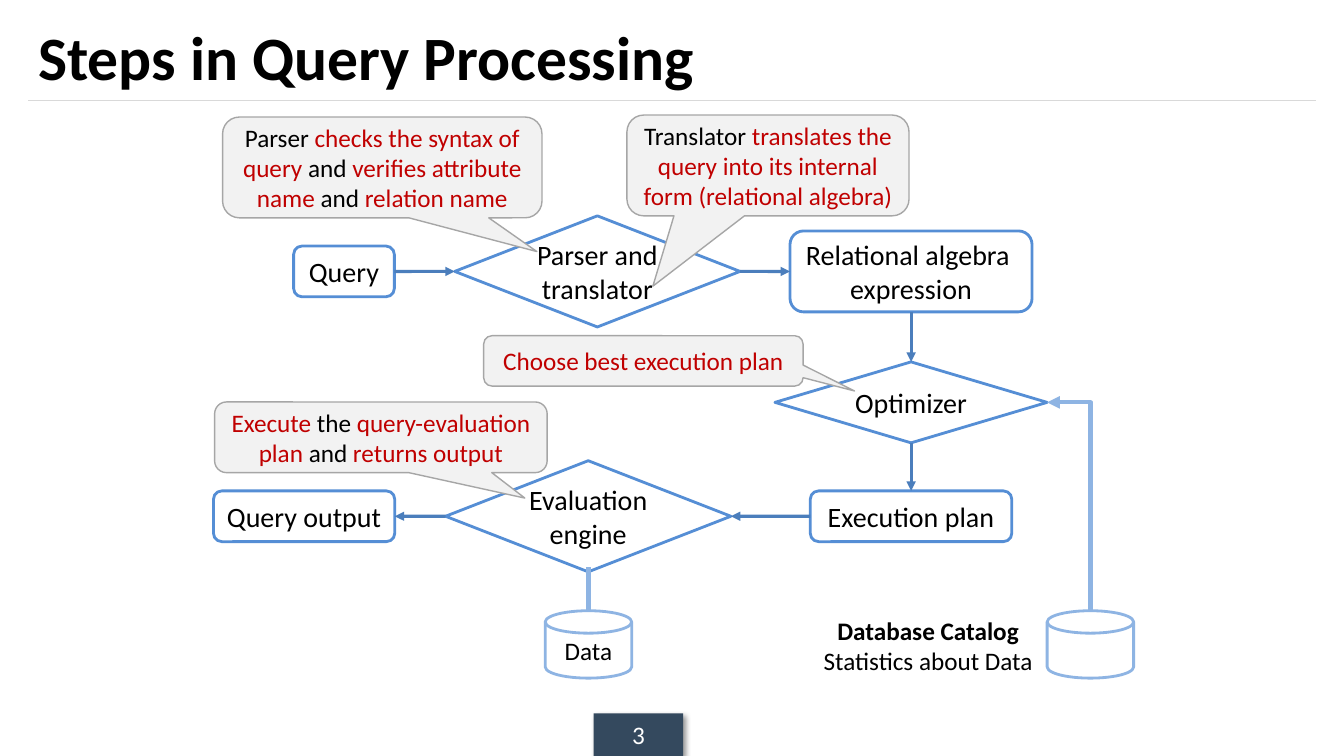
"""Draw the flow of query processing steps on one slide."""
from dataclasses import dataclass
from pptx import Presentation
from pptx.dml.color import RGBColor
from pptx.enum.shapes import MSO_CONNECTOR, MSO_SHAPE
from pptx.enum.text import MSO_ANCHOR, PP_ALIGN
from pptx.oxml import parse_xml
from pptx.oxml.ns import nsdecls, qn
from pptx.oxml.xmlchemy import OxmlElement
from pptx.util import Cm, Pt

RECT, ROUND = MSO_SHAPE.RECTANGLE, MSO_SHAPE.ROUNDED_RECTANGLE
STEP, DISK = MSO_SHAPE.FLOWCHART_DECISION, MSO_SHAPE.FLOWCHART_MAGNETIC_DISK
CALL = MSO_SHAPE.ROUNDED_RECTANGULAR_CALLOUT
LINE, ELBOW = MSO_CONNECTOR.STRAIGHT, MSO_CONNECTOR.ELBOW
LEFT, MID = PP_ALIGN.LEFT, PP_ALIGN.CENTER
NORTH, WEST, SOUTH, EAST = range(4)


@dataclass(frozen=True)
class Theme:
    font: str = "Calibri"
    ink: str = "000000"
    white: str = "FFFFFF"
    red: str = "C00000"
    edge: str = "558ED5"
    link: str = "4B7EBC"
    pale: str = "8EB4E3"
    rule: str = "D9D9D9"
    note: str = "F2F2F2"
    rim: str = "A6A6A6"
    navy: str = "34495E"
    head: int = 44
    node: int = 20
    small: int = 18


theme = Theme()


def write(shape, text, size=theme.small, inks=(theme.ink, theme.red),
          bold=(False, False), align=MID, anchor=MSO_ANCHOR.MIDDLE):
    frame = shape.text_frame
    frame.word_wrap = True
    frame.vertical_anchor = anchor
    for row, line in enumerate(text.split("\n")):
        para = frame.add_paragraph() if row else frame.paragraphs[0]
        para.alignment = align
        for turn, part in enumerate(line.split("|")):
            if part:
                run = para.add_run()
                run.text = part
                run.font.name = theme.font
                run.font.size = Pt(size)
                run.font.bold = bold[turn % 2]
                run.font.color.rgb = RGBColor.from_string(inks[turn % 2])


def draw(kind, box, fill=None, edge=None, width=2):
    shape = slide.shapes.add_shape(kind, *map(Cm, box))
    shape.shadow.inherit = False
    if fill:
        shape.fill.solid()
        shape.fill.fore_color.rgb = RGBColor.from_string(fill)
    else:
        shape.fill.background()
    if edge:
        shape.line.color.rgb = RGBColor.from_string(edge)
        shape.line.width = Pt(width)
    else:
        shape.line.fill.background()
    return shape


deck = Presentation()
deck.slide_width, deck.slide_height = Cm(33.87), Cm(19.05)
slide = deck.slides.add_slide(deck.slide_layouts[5])

title = slide.shapes.title
title.left, title.top, title.width, title.height = map(Cm, (0.71, 0.3, 32.46, 2.24))
write(title, "Steps in Query Processing", size=theme.head, bold=(True, True), align=LEFT)

badge = draw(RECT, (14.96, 17.98, 2.26, 1.07), fill=theme.navy)
write(badge, "3", inks=(theme.white, theme.white))
glow = badge._element.spPr.find(qn("a:effectLst"))
glow.append(parse_xml(
    f'<a:outerShdw {nsdecls("a")} blurRad="50800" dist="38100" dir="2700000" algn="tl" '
    'rotWithShape="0"><a:srgbClr val="000000"><a:alpha val="40000"/></a:srgbClr></a:outerShdw>'))

nodes = {}
for name, kind, box, text in (
    ("parse", STEP, (11.46, 5.44, 7.19, 2.8), "Parser and translator"),
    ("query", ROUND, (7.4, 6.2, 2.54, 1.28), "Query"),
    ("form", ROUND, (19.91, 5.82, 6.1, 2.04), "Relational algebra \nexpression"),
    ("tune", STEP, (19.53, 9.12, 6.86, 2.04), "Optimizer"),
    ("plan", ROUND, (20.42, 12.37, 5.08, 1.28), "Execution plan"),
    ("engine", STEP, (11.23, 11.61, 7.19, 2.8), "Evaluation\nengine"),
    ("output", ROUND, (5.38, 12.37, 4.57, 1.28), "Query output"),
):
    nodes[name] = draw(kind, box, edge=theme.edge)
    write(nodes[name], text, size=theme.node)

for left, text in ((26.39, ""), (13.74, "Data")):
    write(draw(DISK, (left, 15.39, 2.18, 1.7), edge=theme.pale), text)

label = slide.shapes.add_textbox(*map(Cm, (20.42, 15.37, 5.94, 1.8)))
write(label, "Database Catalog |Statistics about Data", inks=(theme.ink, theme.ink),
      bold=(True, False), anchor=MSO_ANCHOR.TOP)

flow = [
    ("query", EAST, "parse", WEST), ("parse", EAST, "form", WEST),
    ("form", SOUTH, "tune", NORTH), ("tune", SOUTH, "plan", NORTH),
    ("plan", WEST, "engine", EAST), ("engine", WEST, "output", EAST),
]
links = [(LINE, (0, 0, 0, 0), theme.link, 2.25, "a:tailEnd", ends) for ends in flow]
links += [
    (LINE, (0.71, 2.54, 33.17, 2.54), theme.rule, 0.75, None, None),
    (LINE, (14.83, 15.4, 14.83, 14.3), theme.pale, 3, None, None),
    (ELBOW, (26.39, 10.14, 27.48, 15.39), theme.pale, 3, "a:headEnd", None),
]
for kind, span, ink, width, tip, ends in links:
    link = slide.shapes.add_connector(kind, *map(Cm, span))
    link.line.color.rgb = RGBColor.from_string(ink)
    link.line.width = Pt(width)
    props = link._element.spPr
    if tip:
        arrow = OxmlElement(tip)
        arrow.set("type", "triangle")
        props.find(qn("a:ln")).append(arrow)
    props.append(OxmlElement("a:effectLst"))
    if kind == ELBOW:
        props.find(qn("a:prstGeom")).set("prst", "bentConnector2")
    if ends:
        start, out, stop, into = ends
        link.begin_connect(nodes[start], out)
        link.end_connect(nodes[stop], into)

for box, tail, text in (
    ((5.61, 2.95, 8.05, 2.54), (0.484, 0.835),
     "Parser |checks the syntax of query |and| verifies attribute name |and| relation name"),
    ((15.8, 2.9, 7.11, 2.54), (-0.408, 1.198),
     "Translator |translates the query into its internal form (relational algebra)"),
    ((12.19, 8.46, 8.05, 1.27), (0.661, 0.597), "|Choose best execution plan"),
    ((5.41, 10.13, 8.38, 1.78), (0.433, 0.861),
     "|Execute |the| query-evaluation plan |and| returns output"),
):
    note = draw(CALL, box, fill=theme.note, edge=theme.rim, width=1)
    note.adjustments[0], note.adjustments[1] = tail
    write(note, text)

deck.save("out.pptx")
